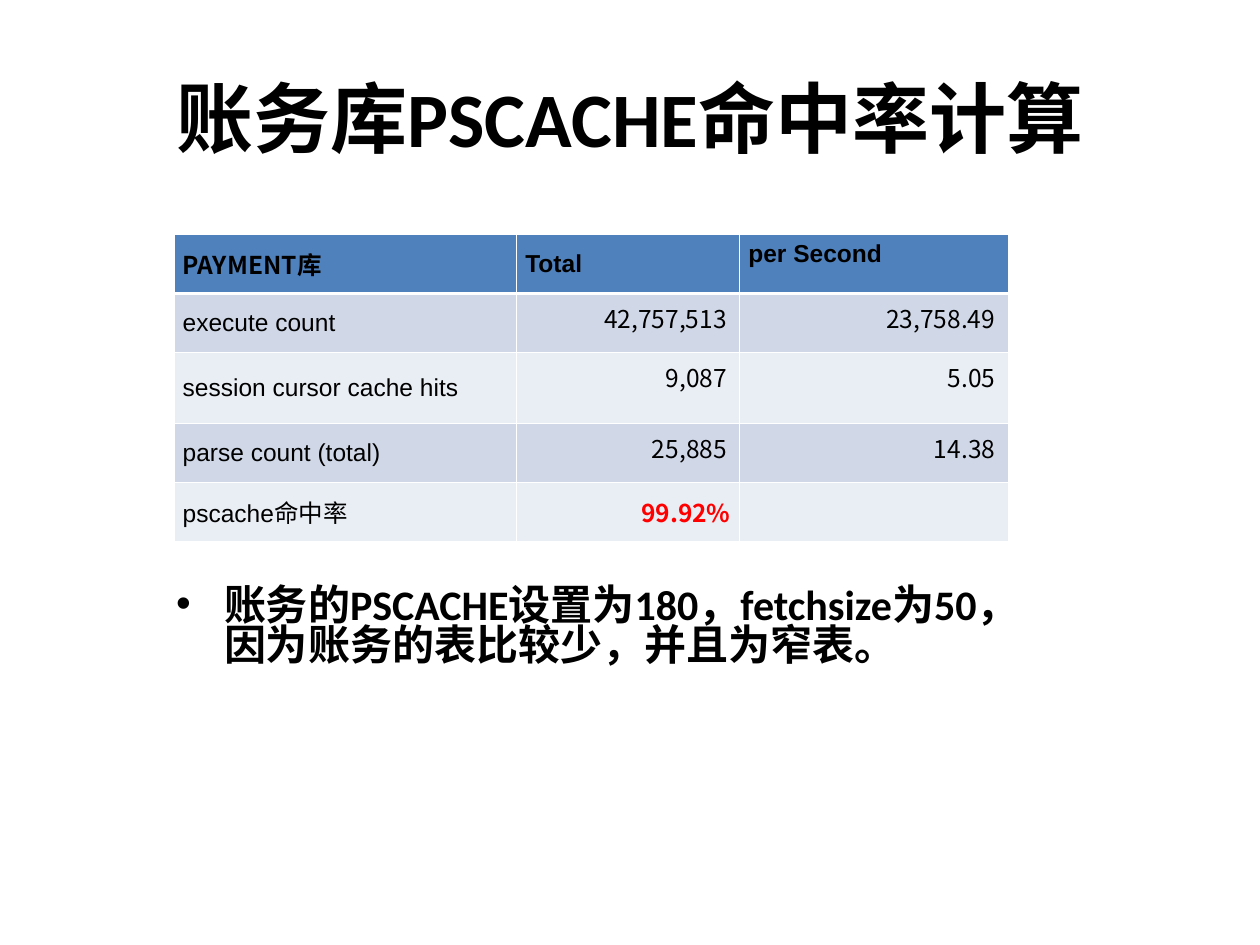
from dataclasses import dataclass

from lxml.etree import SubElement
from pptx import Presentation
from pptx.dml.color import RGBColor
from pptx.enum.text import MSO_ANCHOR as Anchor, MSO_AUTO_SIZE as AutoSize, PP_ALIGN as Align
from pptx.oxml.ns import qn
from pptx.util import Emu, Inches, Pt

WIDTH, HEIGHT = Inches(10), Inches(7.5)
CJK_FONT = "Noto Sans CJK SC"
BLACK, RED, WHITE = "000000", "FF0000", "FFFFFF"
HEADER_FILL = "4F81BD"
BAND_FILLS = ("D0D8E8", "E9EDF4")
COLUMN_SHARES = (0.272, 0.177, 0.213)
ROW_SHARES = (0.0627, 0.0627, 0.0747, 0.0627, 0.0627)
THIN, THICK = 0.45, 1.47


@dataclass(frozen=True)
class Style:
    font: str
    size: float = 14
    bold: bool = False
    color: str = BLACK


@dataclass(frozen=True)
class Entry:
    text: str
    style: Style
    align: Align = Align.LEFT
    middle: bool = True
    narrow: bool = True


def rgb(color: str) -> RGBColor:
    return RGBColor.from_string(color)


def across(share: float) -> Emu:
    return Emu(round(WIDTH * share))


def down(share: float) -> Emu:
    return Emu(round(HEIGHT * share))


def place(shape, left: float, top: float, width: float, height: float) -> None:
    shape.left, shape.top = across(left), down(top)
    shape.width, shape.height = across(width), down(height)


def write(para, text: str, style: Style, align: Align = Align.LEFT) -> None:
    para.text = text
    para.alignment = align
    font = para.font
    font.name, font.size, font.bold = style.font, Pt(style.size), style.bold
    font.color.rgb = rgb(style.color)
    properties = para._p.pPr.find(qn("a:defRPr"))
    SubElement(properties, qn("a:ea")).set("typeface", CJK_FONT)


def add_borders(cell, top: float, bottom: float) -> None:
    properties = cell._tc.get_or_add_tcPr()
    for side, points in zip("LRTB", (THIN, THIN, top, bottom)):
        line = SubElement(properties, qn(f"a:ln{side}"), w=str(Pt(points)))
        fill = SubElement(line, qn("a:solidFill"))
        SubElement(fill, qn("a:srgbClr"), val=WHITE)


def fill_cell(cell, entry: Entry, row: int) -> None:
    add_borders(cell, THICK if row == 1 else THIN, THICK if row == 0 else THIN)
    cell.fill.solid()
    cell.fill.fore_color.rgb = rgb(BAND_FILLS[(row - 1) % 2] if row else HEADER_FILL)
    cell.margin_left = cell.margin_right = Inches(0.07 if entry.narrow else 0.1)
    cell.margin_top = cell.margin_bottom = Inches(0.05)
    cell.vertical_anchor = Anchor.MIDDLE if entry.middle else Anchor.TOP
    write(cell.text_frame.paragraphs[0], entry.text, entry.style, entry.align)


def label(text: str) -> Entry:
    return Entry(text, Style("Arial"))


def number(text: str) -> Entry:
    return Entry(text, Style(CJK_FONT), Align.RIGHT, middle=False, narrow=False)


HEADING = Style("Arial", bold=True)
ROWS = (
    (Entry("PAYMENT库", Style(CJK_FONT, bold=True)), Entry("Total", HEADING),
     Entry("per Second", HEADING, middle=False)),
    (label("execute count"), number("42,757,513"), number("23,758.49")),
    (label("session cursor cache hits"), number("9,087"), number("5.05")),
    (label("parse count (total)"), number("25,885"), number("14.38")),
    (label("pscache命中率"),
     Entry("99.92%", Style(CJK_FONT, bold=True, color=RED), Align.RIGHT), label("")),
)


def add_title(page) -> None:
    title = page.shapes.title
    place(title, 0.05, 0.04, 0.9, 0.167)
    title.text_frame.vertical_anchor = Anchor.MIDDLE
    write(title.text_frame.paragraphs[0], "账务库PSCACHE命中率计算",
          Style("Calibri", 44, bold=True), Align.CENTER)


def add_hit_rate_table(page) -> None:
    frame = page.shapes.add_table(
        len(ROWS), len(COLUMN_SHARES), across(0.138), down(0.248),
        across(sum(COLUMN_SHARES)), down(sum(ROW_SHARES)))
    table = frame.table
    for column, share in zip(table.columns, COLUMN_SHARES):
        column.width = across(share)
    for row, share in zip(table.rows, ROW_SHARES):
        row.height = down(share)
    for r, entries in enumerate(ROWS):
        for c, entry in enumerate(entries):
            fill_cell(table.cell(r, c), entry, r)


def add_note(page) -> None:
    box = page.shapes.add_textbox(0, 0, 0, 0)
    place(box, 0.13, 0.616, 0.693, 0.099)
    box.text_frame.word_wrap = True
    box.text_frame.auto_size = AutoSize.SHAPE_TO_FIT_TEXT
    para = box.text_frame.paragraphs[0]
    para.line_spacing = 0.8
    properties = para._p.get_or_add_pPr()
    properties.set("marL", str(Inches(0.38)))
    properties.set("indent", str(-Inches(0.38)))
    SubElement(properties, qn("a:buFont"), typeface="Arial")
    SubElement(properties, qn("a:buChar"), char="•")
    write(para, "账务的PSCACHE设置为180，fetchsize为50，因为账务的表比较少，并且为窄表。",
          Style("Calibri", 24, bold=True))


def main() -> None:
    deck = Presentation()
    deck.slide_width, deck.slide_height = WIDTH, HEIGHT
    page = deck.slides.add_slide(deck.slide_layouts.get_by_name("Title Only"))
    add_title(page)
    add_hit_rate_table(page)
    add_note(page)
    deck.save("out.pptx")


if __name__ == "__main__":
    main()
